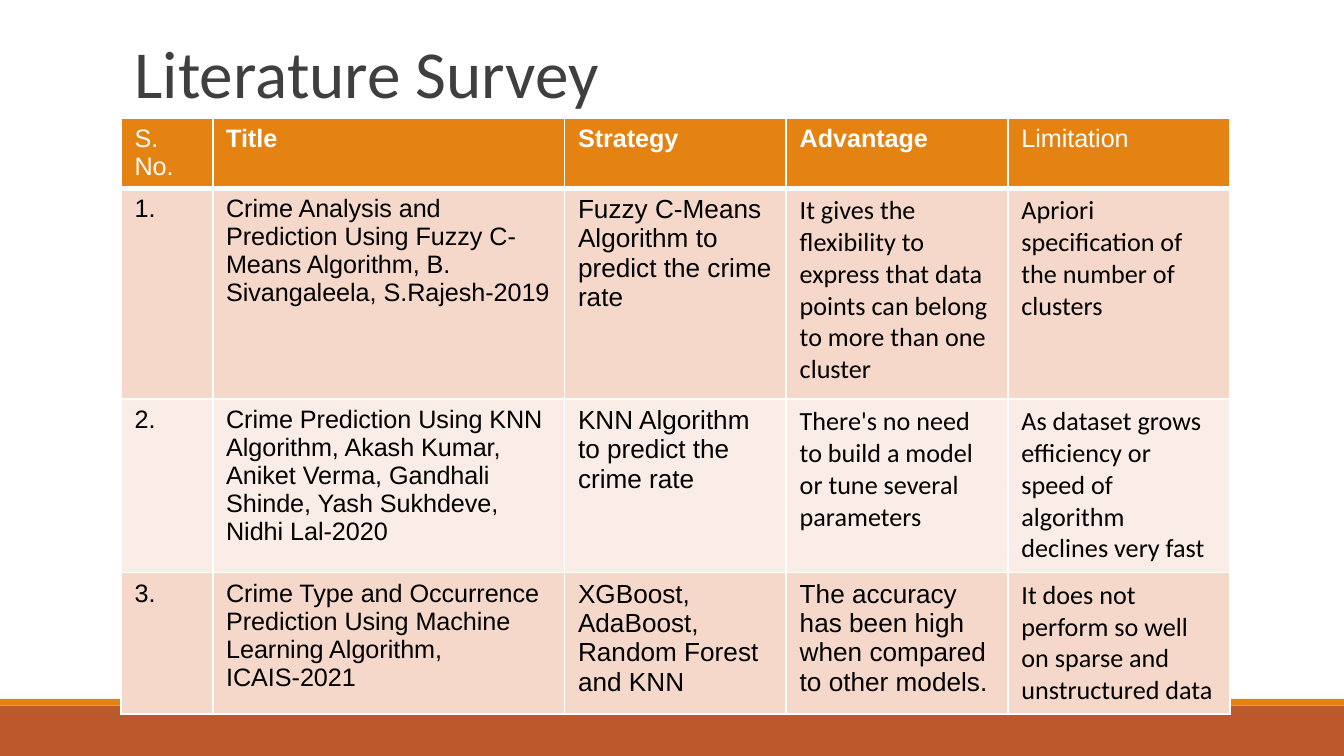
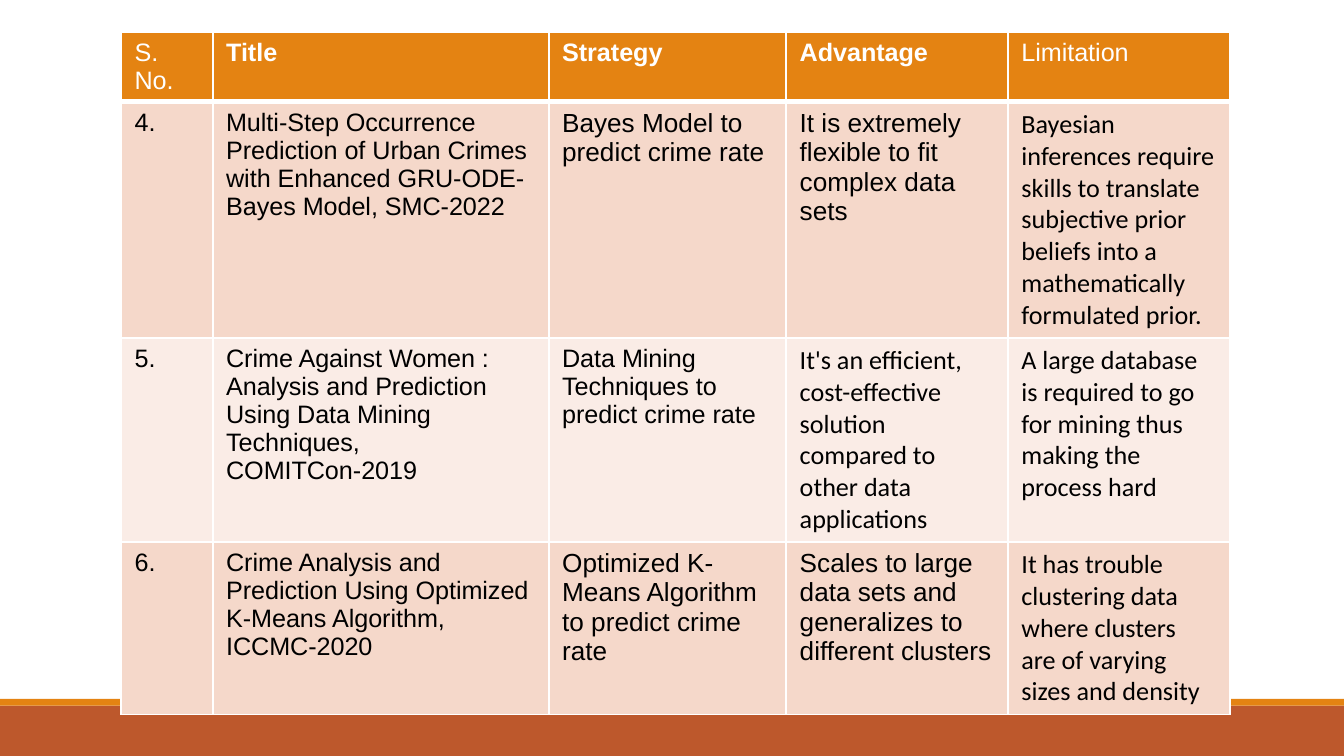
import pptx
import pptx.dml.color
import pptx.enum.shapes
import pptx.enum.text
import pptx.oxml
import pptx.oxml.ns
import pptx.util
from pptx.util import Cm


class Theme:
    rust, orange = "BD582C", "E48312"
    odd, even = "F5D8CA", "FAECE6"
    white, black, gray, dark = "FFFFFF", "000000", "7F7F7F", "3F3F3F"
    title = ("Calibri", 36)
    small = ("Arial", 13.5)
    main = ("Arial", 14)
    soft = ("Calibri", 14)
    thin, thick = 1, 3


HEAD = ["S. No.", "Title", "Strategy", "Advantage", "Limitation"]
BOLD = {"Title", "Strategy", "Advantage"}
FONTS = [Theme.small, Theme.small, Theme.main, Theme.soft, Theme.soft]

# A cell is its text, or (text, font) where it departs from its column.
PAGES = [
    {
        "title": "Literature Survey",
        "top": 2.24,
        "cols": [1.73, 6.65, 4.19, 4.19, 4.19],
        "rows": [0.86, 3.99, 3.28, 2.67],
        "body": [
            ["1.",
             "Crime Analysis and Prediction Using Fuzzy C-Means Algorithm, "
             "B. Sivangaleela, S.Rajesh-2019",
             "Fuzzy C-Means Algorithm to predict the crime rate",
             "It gives the flexibility to express that data points can "
             "belong to more than one cluster",
             "Apriori specification of the number of clusters"],
            ["2.",
             "Crime Prediction Using KNN Algorithm, Akash Kumar, Aniket "
             "Verma, Gandhali Shinde, Yash Sukhdeve, Nidhi Lal-2020",
             "KNN Algorithm to predict the crime rate",
             "There's no need to build a model or tune several parameters",
             "As dataset grows efficiency or speed of algorithm declines "
             "very fast"],
            ["3.",
             "Crime Type and Occurrence Prediction Using Machine Learning "
             "Algorithm, ICAIS-2021",
             "XGBoost, AdaBoost, Random Forest and KNN",
             ("The accuracy has been high when compared to other models.",
              Theme.main),
             "It does not perform so well on sparse and unstructured data"],
        ],
    },
    {
        "title": None,
        "top": 0.61,
        "cols": [1.73, 6.35, 4.49, 4.19, 4.19],
        "rows": [1.17, 4.29, 3.71, 3.12],
        "body": [
            ["4.",
             "Multi-Step Occurrence Prediction of Urban Crimes with Enhanced "
             "GRU-ODE-Bayes Model, SMC-2022",
             "Bayes Model to predict crime rate",
             ("It is extremely flexible to fit complex data sets",
              Theme.main),
             "Bayesian inferences require skills to translate subjective "
             "prior beliefs into a mathematically formulated prior."],
            ["5.",
             "Crime Against Women : Analysis and Prediction Using Data "
             "Mining Techniques, COMITCon-2019",
             ("Data Mining Techniques to predict crime rate", Theme.small),
             "It's an efficient, cost-effective solution compared to other "
             "data applications",
             "A large database is required to go for mining thus making the "
             "process hard"],
            ["6.",
             "Crime Analysis and Prediction Using Optimized K-Means "
             "Algorithm, ICCMC-2020",
             "Optimized K-Means Algorithm to predict crime rate",
             ("Scales to large data sets and generalizes to different "
              "clusters", Theme.main),
             "It has trouble clustering data where clusters are of varying "
             "sizes and density"],
        ],
    },
]

WIDE, HIGH = 25.4, 14.29
LEFT, SPAN = 2.29, 20.95
BANDS = [(13.34, 0.95, Theme.rust), (13.21, 0.13, Theme.orange)]
RULE = (2.49, 23.24, 3.63)


def rgb(code):
    return pptx.dml.color.RGBColor.from_string(code)


def style(para, font, color, bold=False):
    for run in para.runs:
        run.font.name, size = font
        run.font.size = pptx.util.Pt(size)
        run.font.bold = bold
        run.font.color.rgb = rgb(color)


def decorate(deck, slide):
    """Draw the bands and rule, then hand them to the slide master."""
    x1, x2, y = RULE
    line = slide.shapes.add_connector(
        pptx.enum.shapes.MSO_CONNECTOR.STRAIGHT, Cm(x1), Cm(y), Cm(x2), Cm(y))
    line.line.color.rgb = rgb(Theme.gray)
    line.line.width = pptx.util.Pt(0.75)
    line.element.spPr.append(pptx.oxml.parse_xml(
        f'<a:effectLst {pptx.oxml.ns.nsdecls("a")}/>'))
    parts = [line]
    for top, high, color in BANDS:
        band = slide.shapes.add_shape(
            pptx.enum.shapes.MSO_SHAPE.RECTANGLE,
            0, Cm(top), Cm(WIDE), Cm(high))
        band.fill.solid()
        band.fill.fore_color.rgb = rgb(color)
        band.line.fill.background()
        band.shadow.inherit = False
        parts.insert(-1, band)
    for spot, part in enumerate(parts, 2):
        deck.slide_master.shapes.element.insert(spot, part.element)


def border(cell, top, bottom):
    sides = {"L": Theme.thin, "R": Theme.thin, "T": top, "B": bottom}
    props = cell._tc.get_or_add_tcPr()
    for spot, (side, width) in enumerate(sides.items()):
        props.insert(spot, pptx.oxml.parse_xml(
            f'<a:ln{side} {pptx.oxml.ns.nsdecls("a")} w="{width * 12700}">'
            f'<a:solidFill><a:srgbClr val="{Theme.white}"/></a:solidFill>'
            f'</a:ln{side}>'))


def add_title(slide, text):
    title = slide.shapes.title
    title.left, title.top = Cm(LEFT), Cm(0.61)
    title.width, title.height = Cm(SPAN), Cm(1.63)
    frame = title.text_frame
    frame.text = text
    frame.auto_size = pptx.enum.text.MSO_AUTO_SIZE.NONE
    frame.vertical_anchor = pptx.enum.text.MSO_ANCHOR.BOTTOM
    para = frame.paragraphs[0]
    para.alignment = pptx.enum.text.PP_ALIGN.LEFT
    para.line_spacing = 0.85
    style(para, Theme.title, Theme.dark)


def add_survey(slide, page):
    grid = [HEAD] + page["body"]
    table = slide.shapes.add_table(
        len(grid), len(HEAD), Cm(LEFT), Cm(page["top"]),
        Cm(SPAN), Cm(sum(page["rows"]))).table
    for col, wide in zip(table.columns, page["cols"]):
        col.width = Cm(wide)
    for row, high in zip(table.rows, page["rows"]):
        row.height = Cm(high)
    for r, items in enumerate(grid):
        fill = Theme.odd if r % 2 else Theme.even
        for c, item in enumerate(items):
            text, font = item if isinstance(item, tuple) else (item, FONTS[c])
            cell = table.cell(r, c)
            cell.text_frame.text = text
            para = cell.text_frame.paragraphs[0]
            if r == 0:
                style(para, Theme.small, Theme.white, text in BOLD)
            else:
                style(para, font, Theme.black)
            cell.fill.solid()
            cell.fill.fore_color.rgb = rgb(fill if r else Theme.orange)
            border(cell, Theme.thick if r == 1 else Theme.thin,
                   Theme.thick if r == 0 else Theme.thin)


def main():
    deck = pptx.Presentation()
    deck.slide_width, deck.slide_height = Cm(WIDE), Cm(HIGH)
    only, blank = deck.slide_layouts[5], deck.slide_layouts[6]
    for page in PAGES:
        slide = deck.slides.add_slide(only if page["title"] else blank)
        add_survey(slide, page)
        if page["title"]:
            add_title(slide, page["title"])
    decorate(deck, deck.slides[0])
    deck.save("out.pptx")


if __name__ == "__main__":
    main()
